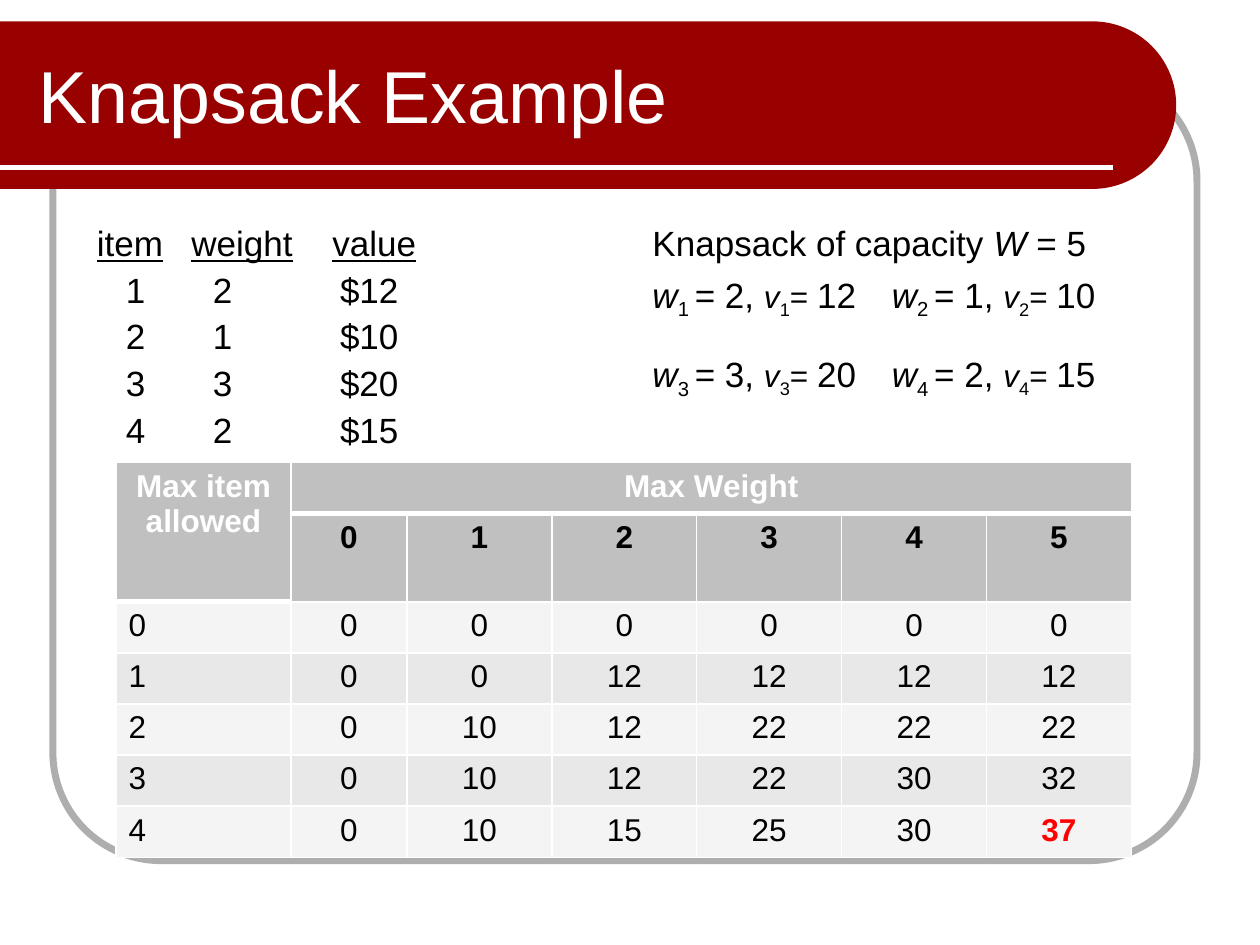
import math
import pptx
import pptx.util
import pptx.dml.color
import pptx.enum.shapes
import pptx.enum.text
import pptx.oxml
import pptx.oxml.ns
from lxml import etree

Inches = pptx.util.Inches
Pt = pptx.util.Pt
ALIGN = pptx.enum.text.PP_ALIGN
qn = pptx.oxml.ns.qn

COLORS = {
    "band": "990000", "frame": "AEAEAE", "white": "FFFFFF", "black": "000000",
    "head": "C0C0C0", "light": "F4F4F4", "dark": "E8E8E8", "best": "FF0000",
}
ITEMS = [(2, 12), (1, 10), (3, 20), (2, 15)]  # weight, value
GRID = [
    [0, 0, 0, 0, 0, 0],
    [0, 0, 12, 12, 12, 12],
    [0, 10, 12, 22, 22, 22],
    [0, 10, 12, 22, 30, 32],
    [0, 10, 15, 25, 30, 37],
]


def rgb(name):
    return pptx.dml.color.RGBColor.from_string(COLORS[name])


def write(para, text, size=20, color="black", bold=False, italic=False,
          under=False, base=0):
    run = para.add_run()
    run.text = text
    font = run.font
    font.name, font.size = "Arial", Pt(size)
    font.bold, font.italic, font.underline = bold, italic, under
    font.color.rgb = rgb(color)
    if base:
        font._element.set("baseline", str(base * 1000))


def add_box(slide, left, top, width, height):
    frame = slide.shapes.add_textbox(
        Inches(left), Inches(top), Inches(width), Inches(height)).text_frame
    frame.word_wrap = True
    return frame


def add_line(frame, first=False, before=5, space=1.0, tabs=()):
    para = frame.paragraphs[0] if first else frame.add_paragraph()
    para.space_before = Pt(before)
    para.line_spacing = space
    if tabs:
        stops = etree.SubElement(para._p.get_or_add_pPr(), qn("a:tabLst"))
        for pos in tabs:
            etree.SubElement(stops, qn("a:tab"), pos=str(Inches(pos)), algn="l")
    return para


def add_frame(slide):
    # Grey rounded outline
    rect = slide.shapes.add_shape(
        pptx.enum.shapes.MSO_SHAPE.ROUNDED_RECTANGLE,
        Inches(0.42), Inches(0.58), Inches(9.08), Inches(6.25))
    rect.adjustments[0] = 0.137
    rect.shadow.inherit = False
    rect.fill.background()
    rect.line.color.rgb = rgb("frame")
    rect.line.width = Pt(4)

    # Red band with a half-round right end
    top, low, edge = 0.17, 1.5, 8.67
    rad = (low - top) / 2
    arc = []
    for deg in range(-90, 91, 3):
        ang = math.radians(deg)
        arc.append((Inches(edge + rad * math.cos(ang)),
                    Inches(top + rad + rad * math.sin(ang))))
    path = slide.shapes.build_freeform(0, Inches(top))
    path.add_line_segments(arc + [(0, Inches(low))], close=True)
    band = path.convert_to_shape()
    band.shadow.inherit = False
    band.fill.solid()
    band.fill.fore_color.rgb = rgb("band")
    band.line.fill.background()

    # White rule
    rule = slide.shapes.add_connector(
        pptx.enum.shapes.MSO_CONNECTOR.STRAIGHT,
        0, Inches(1.33), Inches(8.83), Inches(1.33))
    rule.line.color.rgb = rgb("white")
    rule.line.width = Pt(3)
    etree.SubElement(rule._element.spPr, qn("a:effectLst"))


def add_title(slide):
    frame = add_box(slide, 0.21, 0.25, 7.79, 1)
    frame.vertical_anchor = pptx.enum.text.MSO_ANCHOR.MIDDLE
    write(frame.paragraphs[0], "Knapsack Example", size=42, color="white")


def add_items(slide):
    frame = add_box(slide, 0.67, 1.75, 4.25, 4.83)
    para = add_line(frame, first=True, space=0.9, tabs=(0.75, 1.87, 3.54))
    write(para, "item\tweight\tvalue\t", under=True)
    for num, (weight, value) in enumerate(ITEMS, 1):
        para = add_line(frame, space=0.9, tabs=(0.23, 0.92, 1.93))
        write(para, f"\t{num}\t{weight}\t${value}")


def add_pair(para, num, end):
    weight, value = ITEMS[num - 1]
    write(para, "w", italic=True)
    write(para, f"{num} ", base=-25)
    write(para, f"= {weight}, ")
    write(para, "v", size=18, italic=True)
    write(para, str(num), size=18, base=-25)
    write(para, "= ", size=18)
    write(para, f"{value}{end}")


def add_facts(slide):
    frame = add_box(slide, 5.08, 1.75, 4.25, 4.83)
    para = add_line(frame, first=True, space=0.9)
    write(para, "Knapsack of capacity ")
    write(para, "W ", italic=True)
    write(para, "= 5")
    for num, before in ((1, 5), (3, 18)):
        para = add_line(frame, before=before, tabs=(1.9,))
        add_pair(para, num, "\t")
        add_pair(para, num + 1, "")


def set_edges(cell, **widths):
    props = cell._tc.get_or_add_tcPr()
    for spot, side in enumerate("LRTB"):
        line = etree.Element(qn("a:ln" + side),
                             w=str(Pt(widths.get(side, 1))))
        fill = etree.SubElement(line, qn("a:solidFill"))
        etree.SubElement(fill, qn("a:srgbClr"), val=COLORS["white"])
        props.insert(spot, line)


def fill_cell(cell, text, fill, align=ALIGN.CENTER, **style):
    cell.fill.solid()
    cell.fill.fore_color.rgb = rgb(fill)
    if text:
        para = cell.text_frame.paragraphs[0]
        para.alignment = align
        write(para, text, size=18, **style)


def add_grid(slide):
    count, wide = len(GRID) + 2, len(GRID[0]) + 1
    table = slide.shapes.add_table(
        count, wide, Inches(0.92), Inches(3.67),
        Inches(8.08), Inches(2.84)).table
    for col, width in zip(table.columns, [1.39, 0.92] + [1.15] * 5):
        col.width = Inches(width)
    table.cell(0, 0).merge(table.cell(1, 0))
    table.cell(0, 1).merge(table.cell(0, wide - 1))

    # Two header rows
    heads = [["Max item allowed", "Max Weight"] + [""] * (wide - 2),
             [""] + [str(num) for num in range(wide - 1)]]
    for row, texts in enumerate(heads):
        for col, text in enumerate(texts):
            fill_cell(table.cell(row, col), text, "head", bold=True,
                      color="black" if row else "white")

    # Value rows, the best total in red
    for num, vals in enumerate(GRID):
        fill = "dark" if num % 2 else "light"
        fill_cell(table.cell(num + 2, 0), str(num), fill, align=ALIGN.LEFT)
        for col, val in enumerate(vals, 1):
            best = num == len(GRID) - 1 and col == len(vals)
            fill_cell(table.cell(num + 2, col), str(val), fill, bold=best,
                      color="best" if best else "black")

    # White borders, thick below the top header cells
    for row in range(count):
        for col in range(wide):
            last = 0 if col else 1
            set_edges(table.cell(row, col),
                      T=3 if row == last + 1 else 1,
                      B=3 if row <= last else 1)


def main():
    deck = pptx.Presentation()
    deck.slide_width, deck.slide_height = Inches(10), Inches(7.5)
    slide = deck.slides.add_slide(deck.slide_layouts[6])
    add_frame(slide)
    add_title(slide)
    add_items(slide)
    add_facts(slide)
    add_grid(slide)
    deck.save("out.pptx")


if __name__ == "__main__":
    main()
